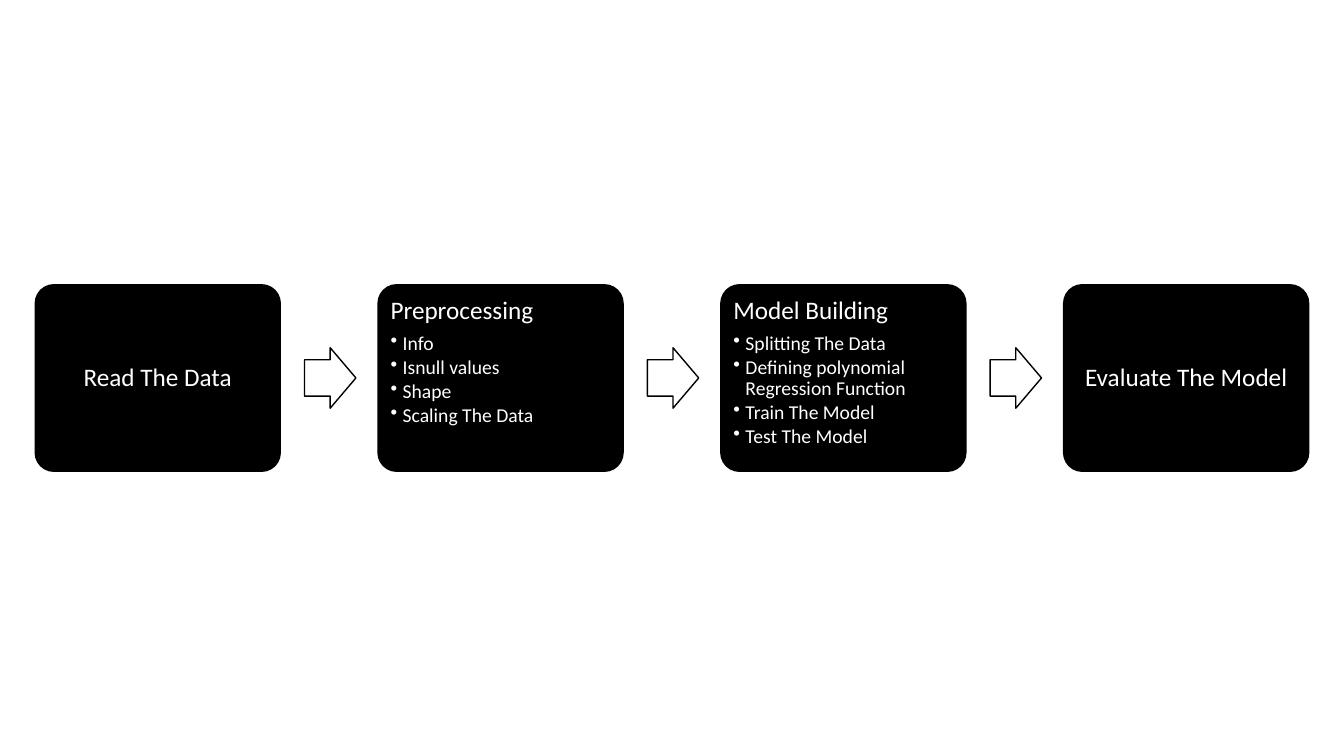
from lxml import etree
from pptx import Presentation
from pptx.dml.color import RGBColor
from pptx.enum.shapes import MSO_SHAPE
from pptx.enum.text import MSO_ANCHOR, PP_ALIGN
from pptx.oxml.ns import qn
from pptx.util import Inches, Pt

ROUNDED, ARROW = MSO_SHAPE.ROUNDED_RECTANGLE, MSO_SHAPE.RIGHT_ARROW
TOP, MIDDLE = MSO_ANCHOR.TOP, MSO_ANCHOR.MIDDLE
LEFT, CENTER = PP_ALIGN.LEFT, PP_ALIGN.CENTER
BLACK, WHITE = "000000", "FFFFFF"
FONT = "Calibri"
SLIDE_W, SLIDE_H = 13.33, 7.5
CARD_W, CARD_H = 2.43, 1.85
ARROW_W, ARROW_H = 0.51, 0.6
ARROW_GAP = 0.24
INSET, INDENT = 0.07, 0.12

STEPS = [
    ("Read The Data", []),
    ("Preprocessing", ["Info", "Isnull values", "Shape", "Scaling The Data"]),
    ("Model Building", ["Splitting The Data",
                        "Defining polynomial Regression Function",
                        "Train The Model", "Test The Model"]),
    ("Evaluate The Model", []),
]


def color(hex_text):
    """Turn a hex string into a colour."""
    return RGBColor.from_string(hex_text)


def add_block(s, kind, box, fill, adjustments):
    """Add a flat preset shape with a thin black outline."""
    sp = s.shapes.add_shape(kind, *(Inches(v) for v in box))
    sp.shadow.inherit = False
    sp.fill.solid()
    sp.fill.fore_color.rgb = color(fill)
    sp.line.color.rgb = color(BLACK)
    sp.line.width = Pt(1)
    for i, value in enumerate(adjustments):
        sp.adjustments[i] = value
    return sp


def add_line(p, text, size, space_share, align):
    """Write one run, with space after it as a share of its size."""
    p.alignment = align
    p.line_spacing = 0.9
    p.space_after = Pt(round(size * space_share, 1))
    r = p.add_run()
    r.text = text
    r.font.name = FONT
    r.font.size = Pt(size)
    r.font.color.rgb = color(WHITE)


def add_bullet(p):
    """Give a paragraph a hanging round bullet."""
    p.level = 1
    pPr = p._p.get_or_add_pPr()
    pPr.set("marL", str(Inches(INDENT)))
    pPr.set("indent", str(-Inches(INDENT)))
    etree.SubElement(pPr, qn("a:buChar")).set("char", "•")


def add_card(s, box, title, items):
    """Draw a step: a centred title, or a title above its bullets."""
    sp = add_block(s, ROUNDED, box, BLACK, [0.1])
    tf = sp.text_frame
    tf.word_wrap = True
    tf.margin_left = tf.margin_right = Inches(INSET)
    tf.margin_top = tf.margin_bottom = Inches(INSET)
    tf.vertical_anchor = TOP if items else MIDDLE
    add_line(tf.paragraphs[0], title, 18, 0.35, LEFT if items else CENTER)
    for item in items:
        p = tf.add_paragraph()
        add_line(p, item, 14, 0.15, LEFT)
        add_bullet(p)


def add_process(s, box, steps):
    """Spread the steps evenly over the box, with arrows between them."""
    left, top, width, height = box
    pitch = (width - CARD_W) / (len(steps) - 1)
    for i, (title, items) in enumerate(steps):
        x = left + i * pitch
        if i:
            arrow_x = x - pitch + CARD_W + ARROW_GAP
            arrow_y = top + (height - ARROW_H) / 2
            add_block(s, ARROW, (arrow_x, arrow_y, ARROW_W, ARROW_H),
                      WHITE, [0.6, 0.5])
        add_card(s, (x, top, CARD_W, height), title, items)


prs = Presentation()
prs.slide_width, prs.slide_height = Inches(SLIDE_W), Inches(SLIDE_H)
s = prs.slides.add_slide(prs.slide_layouts[6])
margin = 0.35
add_process(s, (margin, (SLIDE_H - CARD_H) / 2, SLIDE_W - 2 * margin, CARD_H),
            STEPS)
prs.save("out.pptx")
